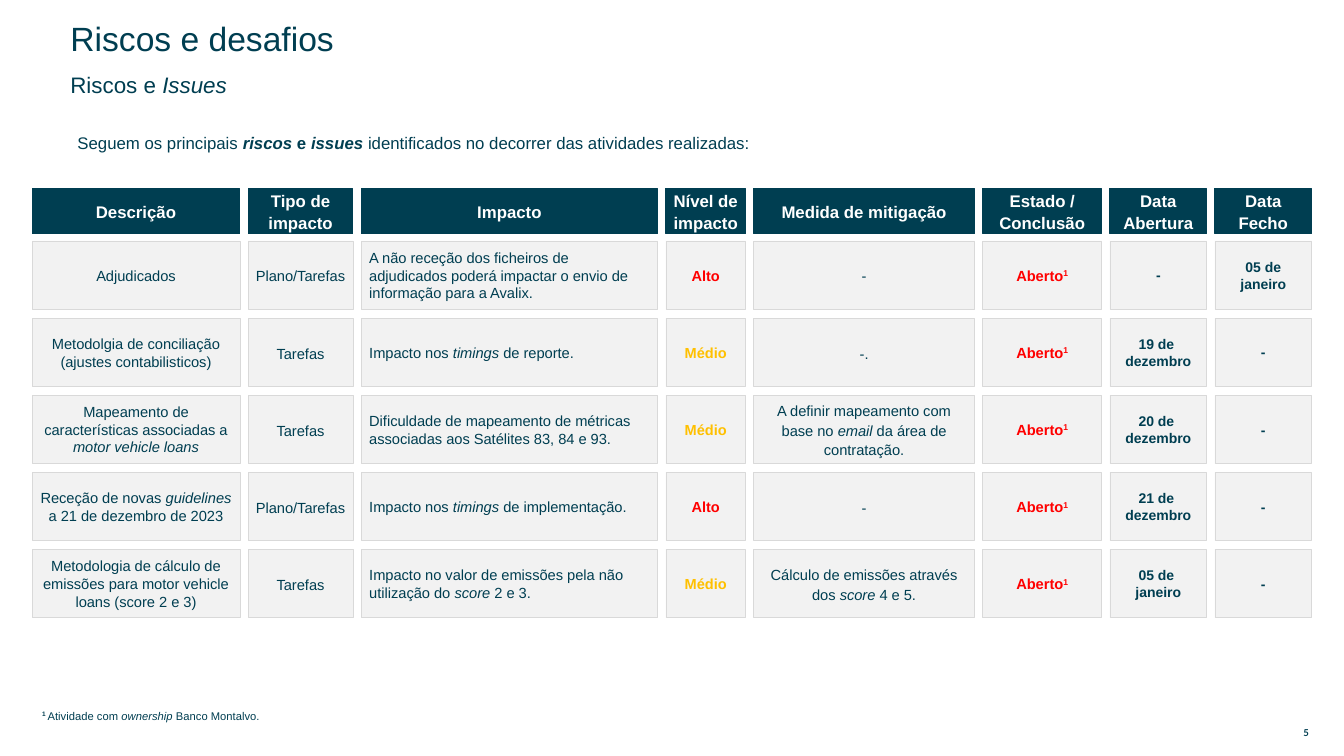
from dataclasses import dataclass

from pptx import Presentation
from pptx.dml.color import RGBColor
from pptx.enum.shapes import MSO_SHAPE
from pptx.enum.text import MSO_ANCHOR, PP_ALIGN
from pptx.util import Inches, Pt

LEFT, CENTER = PP_ALIGN.LEFT, PP_ALIGN.CENTER
TOP, MIDDLE = MSO_ANCHOR.TOP, MSO_ANCHOR.MIDDLE
RECTANGLE = MSO_SHAPE.RECTANGLE


@dataclass(frozen=True)
class Theme:
    petrol: str = "003E51"
    white: str = "FFFFFF"
    cell: str = "F2F2F2"
    border: str = "D9D9D9"
    red: str = "FF0000"
    amber: str = "FFC000"
    font: str = "Arial"
    number_font: str = "Lato"
    title: float = 24
    subtitle: float = 16
    lead: float = 12
    body: float = 10.5
    level: float = 10.4
    date: float = 10
    note: float = 8
    number: float = 6.8


THEME = Theme()


def write(box, text, size, color=THEME.petrol, bold=False, align=LEFT, anchor=MIDDLE,
          insets=(0.1, 0.05), spacing=1.0, font=THEME.font):
    """Fill a shape with text: a string, or (words, style) runs with b, i or ^ (superscript)."""
    frame = box.text_frame
    frame.word_wrap = True
    frame.vertical_anchor = anchor
    frame.margin_left = frame.margin_right = Inches(insets[0])
    frame.margin_top = frame.margin_bottom = Inches(insets[1])
    lines = [[(line, "")] for line in text.split("\n")] if isinstance(text, str) else [text]
    for index, line in enumerate(lines):
        para = frame.add_paragraph() if index else frame.paragraphs[0]
        para.alignment = align
        para.line_spacing = spacing
        para.font.name = font
        para.font.size = Pt(size)
        para.font.bold = bold
        para.font.color.rgb = RGBColor.from_string(color)
        for words, style in line:
            span = para.add_run()
            span.text = words
            if "b" in style:
                span.font.bold = True
            if "i" in style:
                span.font.italic = True
            if "^" in style:
                span._r.get_or_add_rPr().set("baseline", "30000")


def add_cell(left, top, width, height, fill, border, weight):
    cell = page.shapes.add_shape(RECTANGLE, Inches(left), Inches(top), Inches(width), Inches(height))
    cell.shadow.inherit = False
    cell.fill.solid()
    cell.fill.fore_color.rgb = RGBColor.from_string(fill)
    cell.line.color.rgb = RGBColor.from_string(border)
    cell.line.width = Pt(weight)
    return cell


deck = Presentation()
deck.slide_width, deck.slide_height = Inches(13.33), Inches(7.5)
page = deck.slides.add_slide(deck.slide_layouts[6])

# Headings, lead sentence, footnote and page number
heading = dict(spacing=0.9)
texts = [
    ((0.6, 0.27, 7.95, 0.26), "Riscos e desafios", THEME.title, heading),
    ((0.6, 0.73, 7.66, 0.26), [("Riscos e ", ""), ("Issues", "i")], THEME.subtitle, heading),
    ((0.67, 1.27, 12.15, 0.44),
     [("Seguem os principais ", ""), ("riscos ", "bi"), ("e ", "b"), ("issues ", "bi"),
      ("identificados no decorrer das atividades realizadas:", "")],
     THEME.lead, dict(anchor=TOP)),
    ((0.32, 6.97, 11.76, 0.25),
     [("1 ", "b^"), ("Atividade com ", ""), ("ownership", "i"), (" Banco Montalvo.", "")],
     THEME.note, dict(anchor=TOP, spacing=1.1)),
    ((12.73, 7.19, 0.45, 0.16), "5", THEME.number,
     dict(bold=True, align=CENTER, insets=(0.06, 0.03), font=THEME.number_font)),
]
for place, text, size, options in texts:
    write(page.shapes.add_textbox(*map(Inches, place)), text, size, **options)

# Risk grid: heading, width, type size and text options of each column
tight, wide = (0.04, 0.04), (0.12, 0.04)
date_style = dict(bold=True, align=CENTER, insets=wide)
columns = [
    ("Descrição", 2.06, THEME.body, dict(align=CENTER, insets=tight)),
    ("Tipo de impacto", 1.04, THEME.body, dict(align=CENTER, insets=tight, spacing=1.1)),
    ("Impacto", 2.94, THEME.body, dict(insets=(0.08, 0.04))),
    ("Nível de impacto", 0.79, THEME.level, dict(bold=True, align=CENTER, insets=(0, 0))),
    ("Medida de mitigação", 2.19, THEME.body, dict(align=CENTER, insets=wide, spacing=1.1)),
    ("Estado / Conclusão", 1.18, THEME.body,
     dict(color=THEME.red, bold=True, align=CENTER, insets=wide)),
    ("Data Abertura", 0.96, THEME.date, date_style),
    ("Data Fecho", 0.96, THEME.date, date_style),
]
level_colors = {"Alto": THEME.red, "Médio": THEME.amber}
opened = [("Aberto", ""), ("1", "^")]
risks = [
    ("Adjudicados", "Plano/Tarefas",
     "A não receção dos ficheiros de adjudicados poderá impactar o envio de informação para a Avalix.",
     "Alto", "-", opened, "-", "05 de janeiro"),
    ("Metodolgia de conciliação (ajustes contabilisticos)", "Tarefas",
     [("Impacto nos ", ""), ("timings", "i"), (" de reporte.", "")],
     "Médio", "-.", opened, "19 de \ndezembro", "-"),
    ([("Mapeamento de características associadas a ", ""), ("motor vehicle loans", "i")], "Tarefas",
     "Dificuldade de mapeamento de métricas associadas aos Satélites 83, 84 e 93.",
     "Médio",
     [("A definir mapeamento com base no ", ""), ("email", "i"), (" da área de contratação.", "")],
     opened, "20 de \ndezembro", "-"),
    ([("Receção de novas ", ""), ("guidelines", "i"), (" a 21 de dezembro de 2023", "")],
     "Plano/Tarefas",
     [("Impacto nos ", ""), ("timings", "i"), (" de implementação.", "")],
     "Alto", "-", opened, "21 de \ndezembro", "-"),
    ("Metodologia de cálculo de emissões para motor vehicle loans (score 2 e 3)", "Tarefas",
     [("Impacto no valor de emissões pela não utilização do ", ""), ("score", "i"), (" 2 e 3.", "")],
     "Médio",
     [("Cálculo de emissões através dos ", ""), ("score", "i"), (" 4 e 5.", "")],
     opened, "05 de \njaneiro", "-"),
]

GRID_LEFT, GRID_RIGHT = 0.32, 13.01
HEADER_TOP, HEADER_HEIGHT = 1.87, 0.45
FIRST_ROW, LAST_ROW, ROW_HEIGHT = 2.39, 5.45, 0.68
row_pitch = (LAST_ROW - FIRST_ROW) / (len(risks) - 1)
column_gap = (GRID_RIGHT - GRID_LEFT - sum(column[1] for column in columns)) / (len(columns) - 1)

left = GRID_LEFT
for position, (title, width, size, options) in enumerate(columns):
    header = add_cell(left, HEADER_TOP, width, HEADER_HEIGHT, THEME.petrol, THEME.petrol, 0.75)
    write(header, title, THEME.lead, THEME.white, bold=True, align=CENTER, insets=tight, spacing=1.1)
    for row, risk in enumerate(risks):
        cell = add_cell(left, FIRST_ROW + row * row_pitch, width, ROW_HEIGHT,
                        THEME.cell, THEME.border, 0.5)
        text = risk[position]
        if title == "Nível de impacto":
            options = {**options, "color": level_colors[text]}
        write(cell, text, size, **options)
    left += width + column_gap

deck.save("out.pptx")
